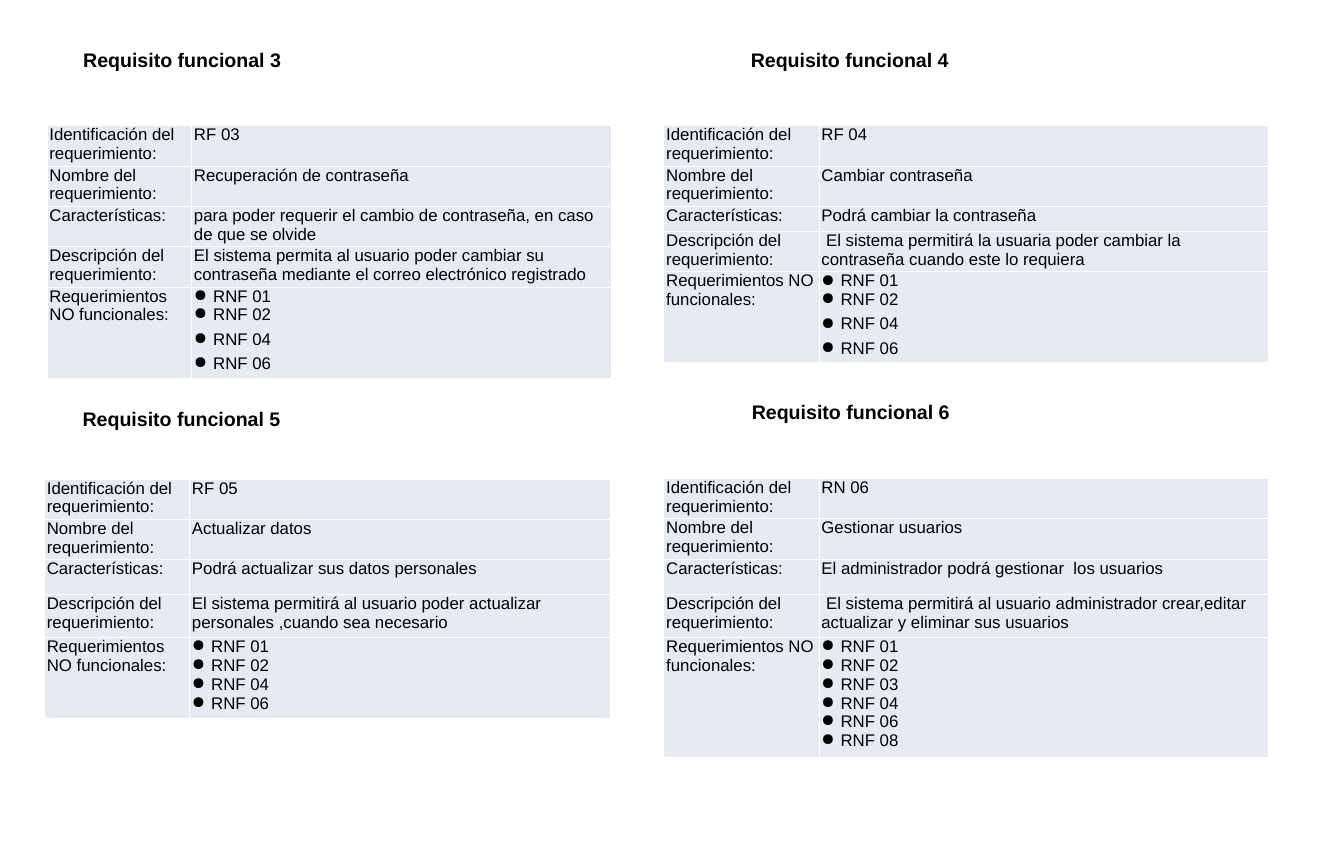
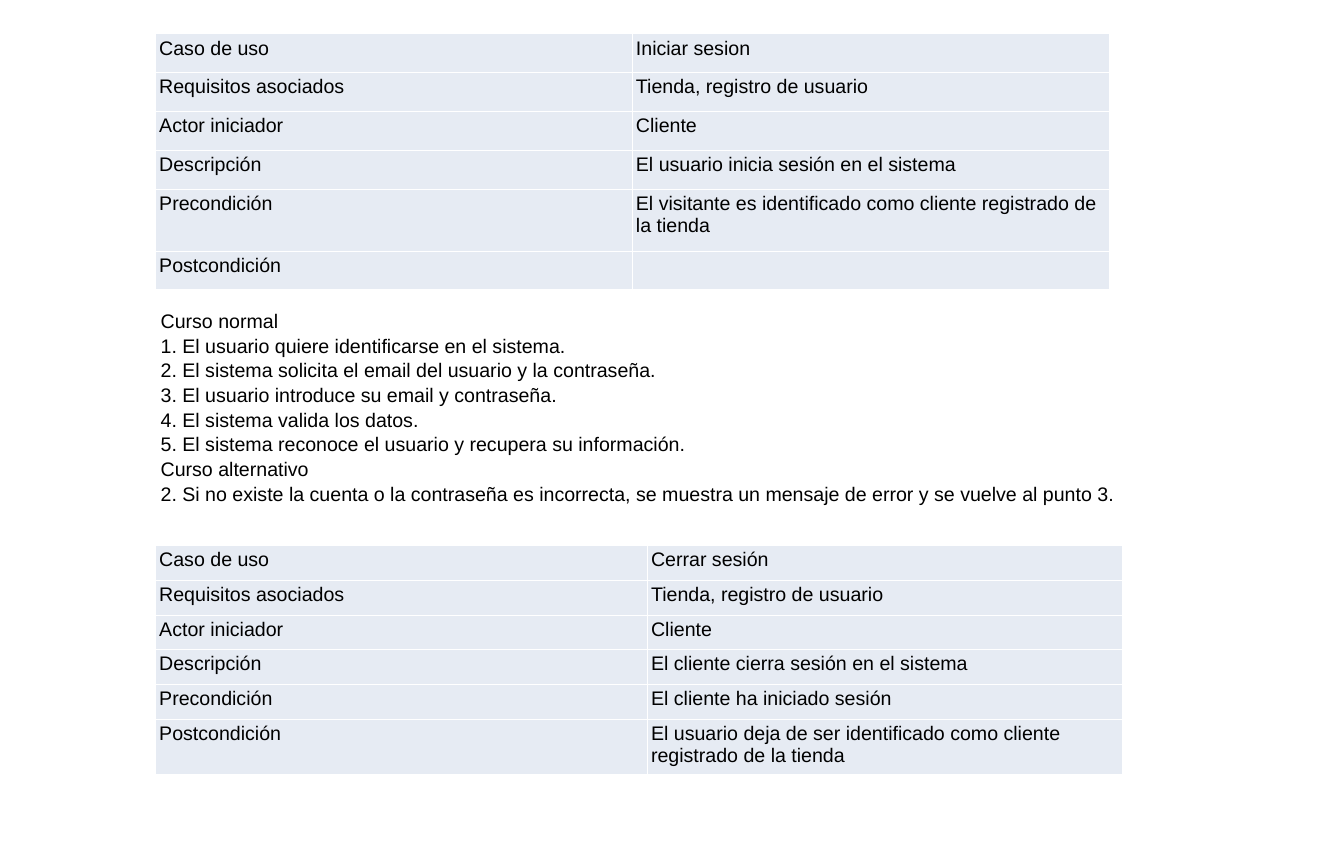
from dataclasses import dataclass
from typing import Any

from lxml import etree
from pptx import Presentation
from pptx.dml.color import RGBColor
from pptx.enum.text import MSO_ANCHOR, MSO_AUTO_SIZE, PP_ALIGN
from pptx.oxml.ns import qn
from pptx.util import Inches, Pt

LEFT = PP_ALIGN.LEFT
TOP = MSO_ANCHOR.TOP
MIDDLE = MSO_ANCHOR.MIDDLE
NO_AUTOFIT = MSO_AUTO_SIZE.NONE
TITLE_ONLY_LAYOUT = 5
BLANK_LAYOUT = 6


@dataclass(frozen=True)
class Theme:
    font: str = "Arial"
    text: str = "000000"
    cell: str = "E6EBF3"
    border: str = "FFFFFF"
    border_width: int = Pt(1)
    heading_size: int = Pt(28)
    requirement_size: int = Pt(24)
    use_case_size: int = Pt(28)
    bullet_indent: int = Inches(0.38)


THEME = Theme()


@dataclass(frozen=True)
class TableStyle:
    size: int
    margin_x: float
    margin_y: float


REQUIREMENT_STYLE = TableStyle(THEME.requirement_size, 0.05, 0)
USE_CASE_STYLE = TableStyle(THEME.use_case_size, 0.07, 0.07)


@dataclass(frozen=True)
class Grid:
    left: float
    top: float
    columns: tuple[float, float]
    rows: tuple[float, ...]


@dataclass(frozen=True)
class Requirement:
    heading: str
    heading_at: tuple[float, float]
    grid: Grid
    values: tuple[str, str, str, str]
    related: tuple[str, ...]
    spaced_from: int = 99  # first bullet that has space above it


@dataclass(frozen=True)
class UseCase:
    grid: Grid
    values: tuple[str, ...]


# Content
REQUIREMENT_LABELS = (
    "Identificación del requerimiento:",
    "Nombre del requerimiento:",
    "Características:",
    "Descripción del requerimiento:",
    "Requerimientos NO funcionales:",
)
REQUIREMENTS = (
    Requirement(
        "Requisito funcional 3", (1.55, 0.9),
        Grid(0.93, 2.49, (2.87, 8.33), (0.8, 0.8, 0.8, 0.8, 1.82)),
        ("RF 03", "Recuperación de contraseña",
         "para poder requerir el cambio de contraseña, en caso de que se olvide",
         "El sistema permita al usuario poder cambiar su contraseña mediante "
         "el correo electrónico registrado"),
        ("01", "02", "04", "06"), spaced_from=2),
    Requirement(
        "Requisito funcional 4", (14.8, 0.9),
        Grid(13.17, 2.49, (3.08, 8.92), (0.8, 0.8, 0.5, 0.8, 1.8)),
        ("RF 04", "Cambiar contraseña", "Podrá cambiar la contraseña",
         " El sistema permitirá la usuaria poder cambiar la contraseña "
         "cuando este lo requiera"),
        ("01", "02", "04", "06"), spaced_from=2),
    Requirement(
        "Requisito funcional 5", (1.54, 8.03),
        Grid(0.88, 9.5, (2.88, 8.36), (0.8, 0.8, 0.7, 0.85, 1.6)),
        ("RF 05", "Actualizar datos", "Podrá actualizar sus datos personales",
         "El sistema permitirá al usuario poder actualizar personales "
         ",cuando sea necesario"),
        ("01", "02", "04", "06")),
    Requirement(
        "Requisito funcional 6", (14.82, 7.88),
        Grid(13.17, 9.49, (3.08, 8.92), (0.8, 0.8, 0.7, 0.86, 2.38)),
        ("RN 06", "Gestionar usuarios",
         "El administrador podrá gestionar  los usuarios",
         " El sistema permitirá al usuario administrador crear,editar "
         "actualizar y eliminar sus usuarios"),
        ("01", "02", "03", "04", "06", "08")),
)

USE_CASE_LABELS = (
    "Caso de uso", "Requisitos asociados", "Actor iniciador",
    "Descripción", "Precondición", "Postcondición",
)
USE_CASES = (
    UseCase(
        Grid(3.09, 0.67, (9.46, 9.46), (0.77,) * 4 + (1.23, 0.77)),
        ("Iniciar sesion", "Tienda, registro de usuario", "Cliente",
         "El usuario inicia sesión en el sistema",
         "El visitante es identificado como cliente registrado de la tienda",
         "")),
    UseCase(
        Grid(3.09, 10.82, (9.76, 9.42), (0.69,) * 5 + (1.1,)),
        ("Cerrar sesión", "Tienda, registro de usuario", "Cliente",
         "El cliente cierra sesión en el sistema",
         "El cliente ha iniciado sesión",
         "El usuario deja de ser identificado como cliente registrado "
         "de la tienda")),
)
COURSE_STEPS = (
    "Curso normal",
    "1. El usuario quiere identificarse en el sistema.",
    "2. El sistema solicita el email del usuario y la contraseña.",
    "3. El usuario introduce su email y contraseña.",
    "4. El sistema valida los datos.",
    "5. El sistema reconoce el usuario y recupera su información.",
    "Curso alternativo",
    "2. Si no existe la cuenta o la contraseña es incorrecta, se muestra "
    "un mensaje de error y se vuelve al punto 3.",
)


# Text helpers
def apply(target: Any, values: dict[str, Any]) -> None:
    for name, value in values.items():
        setattr(target, name, value)


def write_lines(text_frame: Any, lines: tuple[str, ...], size: int,
                bold: bool = False) -> None:
    for index, line in enumerate(lines):
        paragraph = (text_frame.add_paragraph() if index
                     else text_frame.paragraphs[0])
        paragraph.alignment = LEFT
        apply(paragraph.font, {"size": size})
        if line:
            run = paragraph.add_run()
            run.text = line
            apply(run.font, {"name": THEME.font, "size": size, "bold": bold})
            run.font.color.rgb = RGBColor.from_string(THEME.text)


def add_bullet(paragraph: Any) -> None:
    properties = paragraph._p.get_or_add_pPr()
    properties.set("marL", str(THEME.bullet_indent))
    properties.set("indent", str(-THEME.bullet_indent))
    color = etree.SubElement(properties, qn("a:buClr"))
    etree.SubElement(color, qn("a:srgbClr"), val=THEME.text)
    etree.SubElement(properties, qn("a:buChar"), char="●")


# Table helpers
def add_borders(cell: Any) -> None:
    properties = cell._tc.get_or_add_tcPr()
    for side in ("lnL", "lnR", "lnT", "lnB"):
        line = etree.SubElement(properties, qn(f"a:{side}"),
                                w=str(THEME.border_width))
        fill = etree.SubElement(line, qn("a:solidFill"))
        etree.SubElement(fill, qn("a:srgbClr"), val=THEME.border)


def add_grid(slide: Any, grid: Grid, labels: tuple[str, ...],
             values: tuple[tuple[str, ...], ...], style: TableStyle) -> Any:
    table = slide.shapes.add_table(
        len(grid.rows), len(grid.columns), Inches(grid.left), Inches(grid.top),
        Inches(sum(grid.columns)), Inches(sum(grid.rows))).table
    apply(table, {"first_row": False, "horz_banding": False})
    for column, width in zip(table.columns, grid.columns):
        column.width = Inches(width)
    margin_x, margin_y = Inches(style.margin_x), Inches(style.margin_y)
    cell_format = {
        "margin_left": margin_x, "margin_right": margin_x,
        "margin_top": margin_y, "margin_bottom": margin_y,
        "vertical_anchor": TOP,
    }
    for row, height, label, lines in zip(table.rows, grid.rows, labels, values):
        row.height = Inches(height)
        for cell, content in zip(row.cells, ((label,), lines)):
            apply(cell, cell_format)
            add_borders(cell)
            cell.fill.solid()
            cell.fill.fore_color.rgb = RGBColor.from_string(THEME.cell)
            write_lines(cell.text_frame, content, style.size)
    return table


# Slide parts
def format_text_shape(shape: Any, box: tuple[float, float, float, float],
                      anchor: Any) -> None:
    left, top, width, height = (Inches(value) for value in box)
    apply(shape, {"left": left, "top": top, "width": width, "height": height})
    apply(shape.text_frame, {
        "word_wrap": True, "auto_size": NO_AUTOFIT, "vertical_anchor": anchor,
        "margin_left": Inches(0.1), "margin_right": Inches(0.1),
        "margin_top": Inches(0.05), "margin_bottom": Inches(0.05),
    })


def add_requirement(slide: Any, requirement: Requirement,
                    heading: Any) -> None:
    format_text_shape(heading, (*requirement.heading_at, 4.4, 0.57), TOP)
    write_lines(heading.text_frame, (requirement.heading,),
                THEME.heading_size, bold=True)
    related = tuple(f"RNF {number}" for number in requirement.related)
    values = tuple((value,) for value in requirement.values) + (related,)
    table = add_grid(slide, requirement.grid, REQUIREMENT_LABELS, values,
                     REQUIREMENT_STYLE)
    bullets = table.cell(len(values) - 1, 1).text_frame.paragraphs
    for index, paragraph in enumerate(bullets):
        if index >= requirement.spaced_from:
            paragraph.space_before = Pt(8)
        add_bullet(paragraph)


def build_requirements(presentation: Any) -> None:
    slide = presentation.slides.add_slide(
        presentation.slide_layouts[TITLE_ONLY_LAYOUT])
    for index, requirement in enumerate(REQUIREMENTS):
        heading = (slide.shapes.add_textbox(0, 0, 0, 0) if index
                   else slide.shapes.title)
        add_requirement(slide, requirement, heading)


def build_use_cases(presentation: Any) -> None:
    slide = presentation.slides.add_slide(
        presentation.slide_layouts[BLANK_LAYOUT])
    for use_case in USE_CASES:
        add_grid(slide, use_case.grid, USE_CASE_LABELS,
                 tuple((value,) for value in use_case.values), USE_CASE_STYLE)
    course = slide.shapes.add_textbox(0, 0, 0, 0)
    format_text_shape(course, (3.09, 6.13, 19.46, 3.87), MIDDLE)
    write_lines(course.text_frame, COURSE_STEPS, THEME.use_case_size)
    for paragraph in course.text_frame.paragraphs:
        paragraph.line_spacing = 1.05


def main() -> None:
    presentation = Presentation()
    apply(presentation, {"slide_width": Inches(26.67),
                         "slide_height": Inches(17.22)})
    build_requirements(presentation)
    build_use_cases(presentation)
    presentation.save("out.pptx")


if __name__ == "__main__":
    main()
